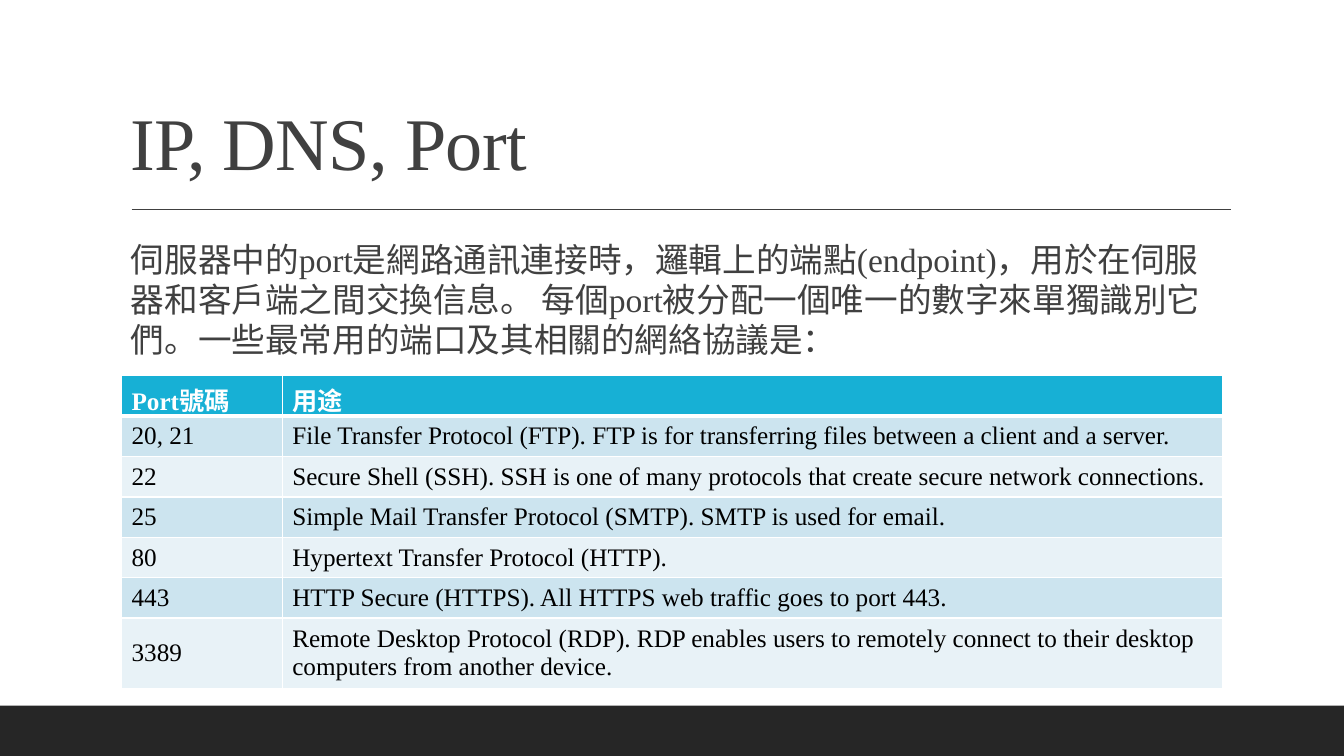
from lxml.etree import SubElement
from pptx import Presentation
from pptx.dml.color import RGBColor
from pptx.enum.shapes import MSO_CONNECTOR, MSO_SHAPE
from pptx.enum.text import MSO_ANCHOR
from pptx.oxml.ns import qn
from pptx.util import Pt

COLORS = {"bar": "262626", "text": "404040", "header": "17B0D5", "odd": "CCE4EF",
          "even": "E8F2F7", "white": "FFFFFF", "black": "000000"}
ROWS = [
    ("Port號碼", "用途"),
    ("20, 21", "File Transfer Protocol (FTP). FTP is for transferring files between a client and a server."),
    ("22", "Secure Shell (SSH). SSH is one of many protocols that create secure network connections."),
    ("25", "Simple Mail Transfer Protocol (SMTP). SMTP is used for email."),
    ("80", "Hypertext Transfer Protocol (HTTP)."),
    ("443", "HTTP Secure (HTTPS). All HTTPS web traffic goes to port 443."),
    ("3389", "Remote Desktop Protocol (RDP). RDP enables users to remotely connect to their desktop "
             "computers from another device."),
]


def rgb(name):
    return RGBColor.from_string(COLORS[name])


def write(tf, text, size=18, color="text", bold=False, anchor=MSO_ANCHOR.TOP, line=None, spacing=None):
    tf.word_wrap = True
    tf.vertical_anchor = anchor
    p = tf.paragraphs[0]
    p.line_spacing = line
    r = p.add_run()
    r.text = text
    r.font.name = "Times New Roman"
    r.font.size = Pt(size)
    r.font.bold = bold
    r.font.color.rgb = rgb(color)
    if spacing:
        r.font._element.set("spc", str(spacing))


prs = Presentation()
prs.slide_width, prs.slide_height = Pt(960), Pt(540)
s = prs.slides.add_slide(prs.slide_layouts[6])

bar = s.shapes.add_shape(MSO_SHAPE.RECTANGLE, Pt(0), Pt(504), Pt(960), Pt(36))
bar.shadow.inherit = False
bar.fill.solid()
bar.fill.fore_color.rgb = rgb("bar")
bar.line.fill.background()

rule = s.shapes.add_connector(MSO_CONNECTOR.STRAIGHT, Pt(94), Pt(149.5), Pt(879), Pt(149.5))
rule.line.color.rgb = rgb("text")
rule.line.width = Pt(1)
SubElement(rule._element.spPr, qn("a:effectLst"))

title = s.shapes.add_textbox(Pt(86.4), Pt(22.5), Pt(792), Pt(114.5))
write(title.text_frame, "IP, DNS, Port", size=53, anchor=MSO_ANCHOR.BOTTOM, line=0.9, spacing=-50)

body = s.shapes.add_textbox(Pt(86.4), Pt(167.5), Pt(792), Pt(94))
body.text_frame.margin_right = 0
write(body.text_frame,
      "伺服器中的port是網路通訊連接時，邏輯上的端點(endpoint)，用於在伺服器和客戶端之間交換信息。 "
      "每個port被分配一個唯一的數字來單獨識別它們。一些最常用的端口及其相關的網絡協議是：",
      size=24, line=Pt(28.6))

table = s.shapes.add_table(len(ROWS), 2, Pt(86.8), Pt(268.5), Pt(786.8), Pt(226)).table
table.columns[0].width, table.columns[1].width = Pt(114.8), Pt(672)
for i, row in enumerate(ROWS):
    table.rows[i].height = Pt(48.3 if i == len(ROWS) - 1 else 28.8)
    for j, text in enumerate(row):
        cell = table.cell(i, j)
        for side in "LRTB":
            thick = (i == 0 and side == "B") or (i == 1 and side == "T")
            ln = SubElement(cell._tc.get_or_add_tcPr(), qn(f"a:ln{side}"), w=str(Pt(3 if thick else 1)))
            SubElement(SubElement(ln, qn("a:solidFill")), qn("a:srgbClr"), val=COLORS["white"])
        cell.fill.solid()
        cell.fill.fore_color.rgb = rgb("header" if i == 0 else "odd" if i % 2 else "even")
        cell.vertical_anchor = MSO_ANCHOR.MIDDLE
        write(cell.text_frame, text, color="black" if i else "white", bold=i == 0)

prs.save("out.pptx")
